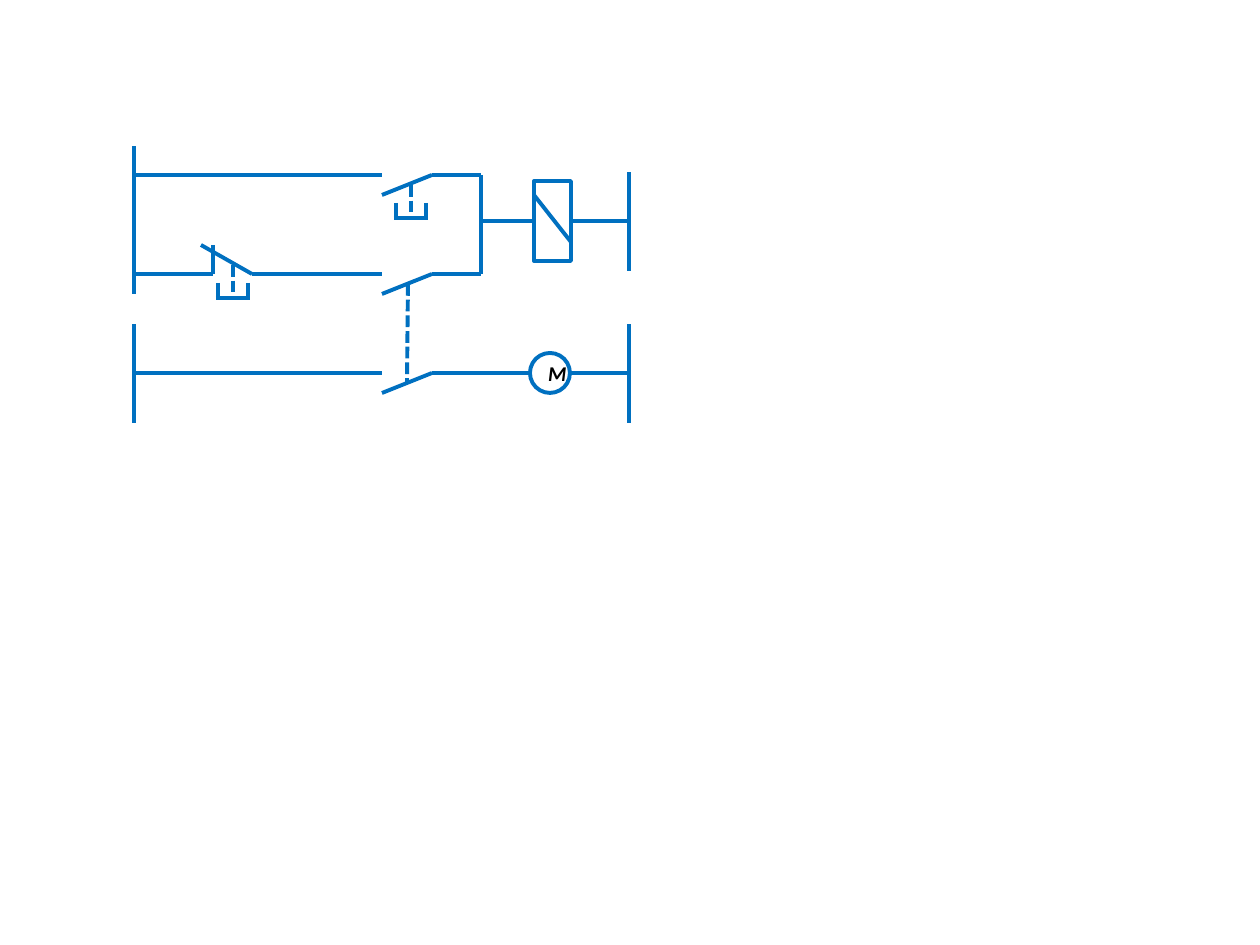
from dataclasses import dataclass

from lxml import etree
from pptx import Presentation
from pptx.dml.color import RGBColor
from pptx.enum.dml import MSO_LINE
from pptx.enum.shapes import MSO_CONNECTOR, MSO_SHAPE
from pptx.enum.text import MSO_ANCHOR, PP_ALIGN
from pptx.oxml.ns import qn
from pptx.util import Emu, Pt

STRAIGHT = MSO_CONNECTOR.STRAIGHT
RECT, OVAL = MSO_SHAPE.RECTANGLE, MSO_SHAPE.OVAL
DASH = MSO_LINE.SQUARE_DOT
MIDDLE, CENTER = MSO_ANCHOR.MIDDLE, PP_ALIGN.CENTER
LEFT_SIDE, RIGHT_SIDE = 1, 3
PX_PER_INCH = 126


@dataclass(frozen=True)
class Theme:
    wire: RGBColor = RGBColor(0x00, 0x70, 0xC0)
    text: RGBColor = RGBColor(0x00, 0x00, 0x00)
    font: str = "Calibri"
    label_size: Pt = Pt(12)
    wire_width: Pt = Pt(2.25)


THEME = Theme()

LEFT_RAIL, RIGHT_RAIL = 134, 629
START_ROW, HOLD_ROW, MOTOR_ROW = 175, 274, 373
CONTACT_IN, CONTACT_OUT, BUS = 382, 432, 481
STOP_IN, STOP_OUT = 213, 252
COIL_ROW = 221


def px(n):
    return Emu(n * 914400 // PX_PER_INCH)


def style_line(line):
    line.color.rgb = THEME.wire
    line.width = THEME.wire_width


def add_wire(s, x1, y1, x2, y2, dashed=False):
    wire = s.shapes.add_connector(STRAIGHT, px(x1), px(y1), px(x2), px(y2))
    style_line(wire.line)
    if dashed:
        wire.line.dash_style = DASH
    etree.SubElement(wire._element.spPr, qn("a:effectLst"))
    return wire


def add_outline(s, kind, x, y, w, h):
    sp = s.shapes.add_shape(kind, px(x), px(y), px(w), px(h))
    sp.shadow.inherit = False
    sp.fill.background()
    style_line(sp.line)
    return sp


def add_open_contact(s, y):
    add_wire(s, CONTACT_OUT, y, CONTACT_IN, y + 20)


def add_closed_contact(s, y):
    add_wire(s, STOP_IN, y - 29, STOP_IN, y)
    add_wire(s, STOP_IN - 12, y - 29, STOP_OUT, y)


def add_push_button(s, x, y):
    base = y + 33
    add_wire(s, x, y, x, base, dashed=True)
    add_wire(s, x - 17, base, x + 17, base)
    for side in (x - 15, x + 15):
        add_wire(s, side, base - 15, side, base)


def add_coil(s):
    w, h = 37, 80
    x, y = 534, COIL_ROW - h // 2
    coil = add_outline(s, RECT, x, y, w, h)
    add_wire(s, x + w, COIL_ROW + 21, x, COIL_ROW - 26)
    add_wire(s, BUS, COIL_ROW, x, COIL_ROW).end_connect(coil, LEFT_SIDE)
    add_wire(s, x + w, COIL_ROW, RIGHT_RAIL, COIL_ROW).begin_connect(coil, RIGHT_SIDE)


def add_motor(s):
    x, d = 530, 40
    add_wire(s, CONTACT_OUT, MOTOR_ROW, x, MOTOR_ROW)
    add_wire(s, x + d, MOTOR_ROW, RIGHT_RAIL, MOTOR_ROW)
    motor = add_outline(s, OVAL, x, MOTOR_ROW - d // 2, d, d)
    tf = motor.text_frame
    tf.text = "M"
    tf.vertical_anchor = MIDDLE
    p = tf.paragraphs[0]
    p.alignment = CENTER
    font = p.runs[0].font
    font.name = THEME.font
    font.size = THEME.label_size
    font.bold = font.italic = True
    font.color.rgb = THEME.text


def main():
    prs = Presentation()
    prs.slide_width, prs.slide_height = px(1260), px(945)
    s = prs.slides.add_slide(prs.slide_layouts[6])

    for x, top, bottom in (
        (LEFT_RAIL, 146, 294),
        (LEFT_RAIL, 324, 423),
        (RIGHT_RAIL, 172, 271),
        (RIGHT_RAIL, 324, 423),
    ):
        add_wire(s, x, bottom, x, top)

    for y in (START_ROW, MOTOR_ROW):
        add_wire(s, LEFT_RAIL, y, CONTACT_IN, y)
    add_wire(s, LEFT_RAIL, HOLD_ROW, STOP_IN, HOLD_ROW)
    add_wire(s, STOP_OUT, HOLD_ROW, CONTACT_IN, HOLD_ROW)
    for y in (START_ROW, HOLD_ROW):
        add_wire(s, CONTACT_OUT, y, BUS, y)
    add_wire(s, BUS, HOLD_ROW, BUS, START_ROW)

    for y in (START_ROW, HOLD_ROW, MOTOR_ROW):
        add_open_contact(s, y)
    add_closed_contact(s, HOLD_ROW)
    add_push_button(s, 411, START_ROW + 10)
    add_push_button(s, 233, HOLD_ROW - 9)
    add_wire(s, 408, HOLD_ROW + 10, 407, MOTOR_ROW + 10, dashed=True)

    add_coil(s)
    add_motor(s)
    prs.save("out.pptx")


if __name__ == "__main__":
    main()
